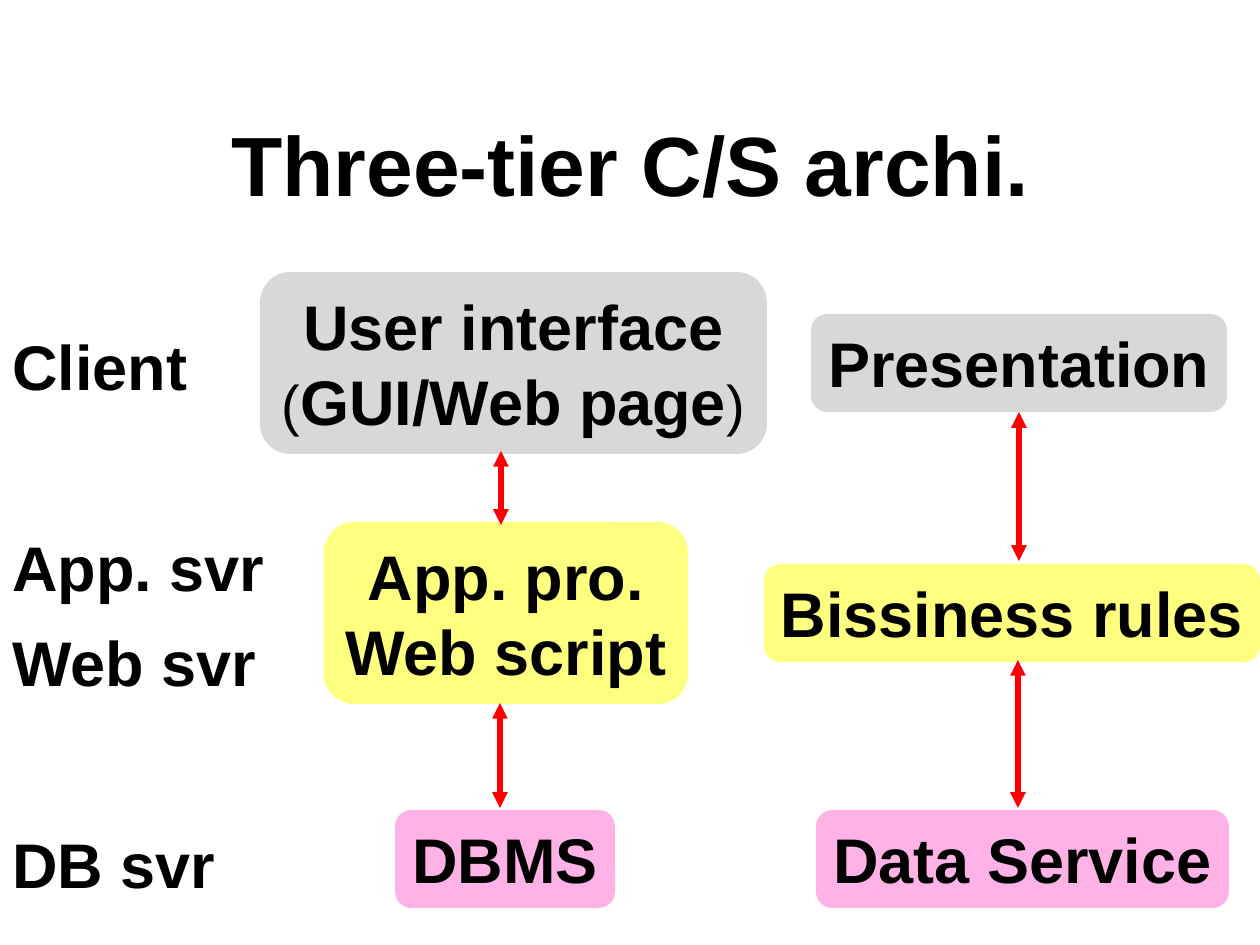
import pptx
import pptx.util
import pptx.dml.color
import pptx.enum.shapes
import pptx.enum.text
import pptx.oxml.ns
from lxml import etree

PX = 914400 / 126  # EMU per px
FONT = "Arial"
COLORS = {
    "text": "000000",
    "client": "B2B2B2",
    "server": "FFFF00",
    "database": "FF66CC",
    "arrow": "FF0000",
}
PP_ALIGN = pptx.enum.text.PP_ALIGN
qn = pptx.oxml.ns.qn


def px(n):
    return pptx.util.Emu(round(n * PX))


def rgb(name):
    return pptx.dml.color.RGBColor.from_string(COLORS[name])


def style(p, size, align):
    p.alignment = align
    p.font.name = FONT
    p.font.size = pptx.util.Pt(size)
    p.font.bold = True
    p.font.color.rgb = rgb("text")


def write(tf, lines, align, gap=0):
    """Fill a text frame; a line is a string or a list of (text, size, bold)."""
    tf.word_wrap = False
    tf.auto_size = pptx.enum.text.MSO_AUTO_SIZE.NONE
    tf.vertical_anchor = pptx.enum.text.MSO_ANCHOR.MIDDLE
    for i, line in enumerate(lines):
        p = tf.add_paragraph() if i else tf.paragraphs[0]
        style(p, 36, align)
        p.line_spacing = pptx.util.Pt(43)
        if i and gap:
            p.space_before = pptx.util.Pt(gap)
        if isinstance(line, str):
            p.add_run().text = line
            continue
        for text, size, bold in line:
            r = p.add_run()
            r.text = text
            r.font.size = pptx.util.Pt(size)
            r.font.bold = bold


def add_title(s, text):
    title = s.shapes.title
    title.left, title.top, title.width, title.height = map(px, (95, 84, 1071, 158))
    title.text_frame.text = text
    title.text_frame.vertical_anchor = pptx.enum.text.MSO_ANCHOR.MIDDLE
    style(title.text_frame.paragraphs[0], 48, PP_ALIGN.CENTER)


def add_label(s, top, width, height, lines):
    sp = s.shapes.add_textbox(px(0), px(top), px(width), px(height))
    write(sp.text_frame, lines, PP_ALIGN.LEFT, gap=11.2)


def add_box(s, left, top, width, height, color, lines):
    sp = s.shapes.add_shape(
        pptx.enum.shapes.MSO_SHAPE.ROUNDED_RECTANGLE,
        px(left), px(top), px(width), px(height))
    sp.shadow.inherit = False
    sp.line.fill.background()
    sp.fill.solid()
    sp.fill.fore_color.rgb = rgb(color)
    # Half-transparent fill
    clr = sp._element.spPr.find(qn("a:solidFill")).find(qn("a:srgbClr"))
    etree.SubElement(clr, qn("a:alpha"), val="50000")
    write(sp.text_frame, lines, PP_ALIGN.CENTER)
    return sp


def add_arrow(s, x, top, bottom, source=None):
    c = s.shapes.add_connector(
        pptx.enum.shapes.MSO_CONNECTOR.STRAIGHT, px(x), px(top), px(x), px(bottom))
    if source is not None:
        c.begin_connect(source, 2)
    c.line.color.rgb = rgb("arrow")
    c.line.width = pptx.util.Pt(3)
    ln = c._element.spPr.find(qn("a:ln"))
    for end in ("a:headEnd", "a:tailEnd"):
        etree.SubElement(ln, qn(end), type="triangle")
    etree.SubElement(c._element.spPr, qn("a:effectLst"))


def main():
    prs = pptx.Presentation()
    prs.slide_width, prs.slide_height = px(1260), px(945)
    s = prs.slides.add_slide(prs.slide_layouts[5])
    add_title(s, "Three-tier C/S archi.")

    # Tier names
    add_label(s, 321, 200, 88, ["Client"])
    add_label(s, 522, 277, 184, ["App. svr", "Web svr"])
    add_label(s, 819, 228, 88, ["DB svr"])

    # Software of each tier
    page = [("(", 32, False), ("GUI/Web page", 36, True), (")", 32, False)]
    add_box(s, 260, 272, 507, 182, "client", ["User interface", page])
    add_box(s, 324, 522, 364, 182, "server", ["App. pro.", "Web script"])
    add_box(s, 395, 810, 220, 98, "database", ["DBMS"])
    add_arrow(s, 501, 451, 525)
    add_arrow(s, 500, 703, 808)

    # Role of each tier
    presentation = add_box(s, 811, 314, 416, 98, "client", ["Presentation"])
    add_box(s, 764, 564, 496, 98, "server", ["Bissiness rules"])
    add_box(s, 816, 810, 413, 98, "database", ["Data Service"])
    add_arrow(s, 1019, 412, 561, presentation)
    add_arrow(s, 1018, 660, 808)

    prs.save("out.pptx")


if __name__ == "__main__":
    main()
